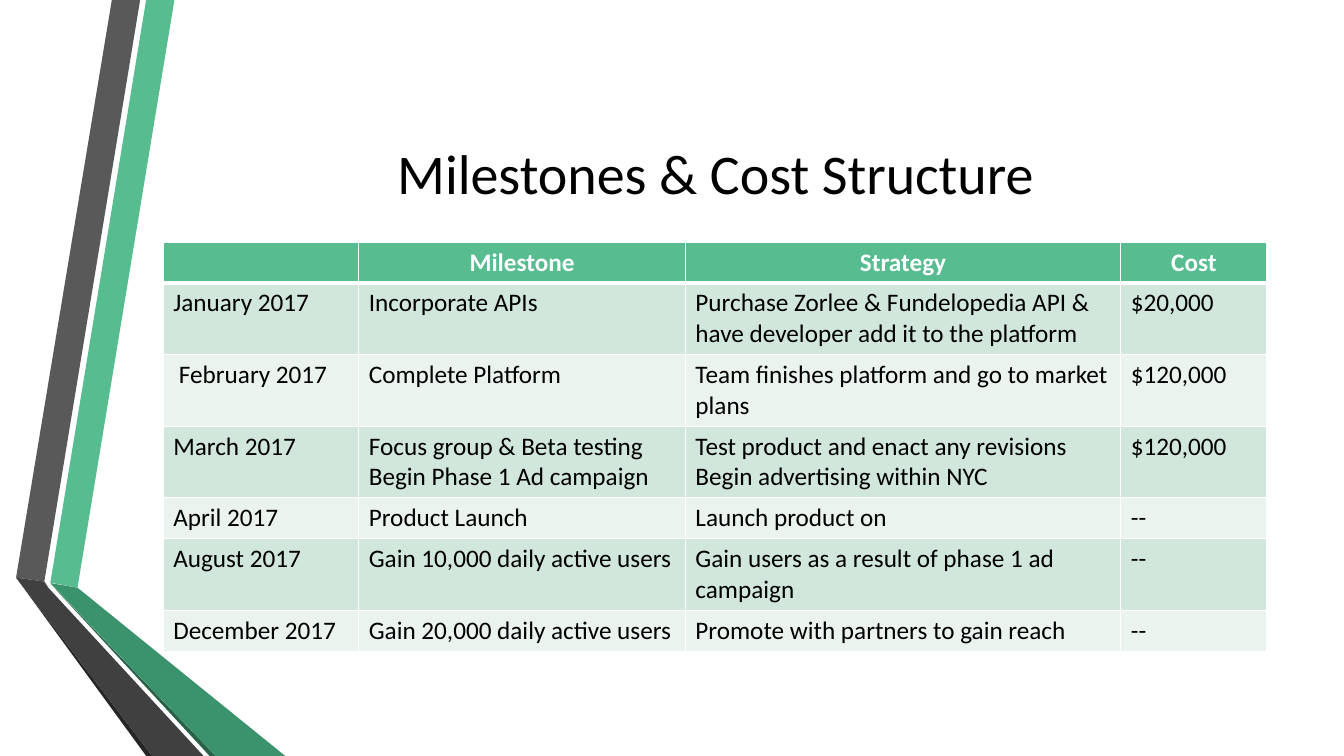
from lxml import etree
from pptx import Presentation
from pptx import util as u
from pptx.dml import color
from pptx.enum import text
from pptx.oxml import ns

FONT = "Calibri"
BLACK, WHITE, GREEN = "000000", "FFFFFF", "57BC90"
BANDS = ["D1E7DB", "EAF3EE"]

RIBBONS = [
    (GREEN, [(24.5, 416.2), (43.9, 419.8), (113.1, 0), (92.9, 0)]),
    ("595959", [(88.6, 0), (68.4, 0), (0, 412.6), (20.2, 415.4)]),
    ("262626", [(0, 412.6), (92.9, 540), (97.2, 540)]),
    ("276249", [(24.5, 416.9), (138.3, 540), (142.6, 540)]),
    ("3B936D", [(24.5, 416.5), (142.6, 540), (192.3, 540), (43.9, 419.8)]),
    ("404040", [(133.9, 540), (23, 419.8), (20.2, 415.4), (0, 412.6), (97.2, 540)]),
]

COLUMN_WIDTHS = [139.7, 233.3, 311, 104.4]
LINE_HEIGHT, ROW_PADDING = 22, 7.2
MILESTONES = [
    (1, ["", "Milestone", "Strategy", "Cost"]),
    (2, ["January 2017", "Incorporate APIs",
         "Purchase Zorlee & Fundelopedia API & have developer add it to the platform",
         "$20,000"]),
    (2, [" February 2017", "Complete Platform",
         "Team finishes platform and go to market plans", "$120,000"]),
    (2, ["March 2017", "Focus group & Beta testing\nBegin Phase 1 Ad campaign",
         "Test product and enact any revisions\nBegin advertising within NYC",
         "$120,000"]),
    (1, ["April 2017", "Product Launch", "Launch product on", "--"]),
    (2, ["August 2017", "Gain 10,000 daily active users",
         "Gain users as a result of phase 1 ad campaign", "--"]),
    (1, ["December 2017", "Gain 20,000 daily active users",
         "Promote with partners to gain reach", "--"]),
]


def paint(fill, hex_color):
    fill.solid()
    fill.fore_color.rgb = color.RGBColor.from_string(hex_color)


def style(paragraph, size, hex_color, bold=False, centred=False):
    paragraph.font.name = FONT
    paragraph.font.size = u.Pt(size)
    paragraph.font.bold = bold
    paragraph.font.color.rgb = color.RGBColor.from_string(hex_color)
    paragraph.alignment = text.PP_ALIGN.CENTER if centred else text.PP_ALIGN.LEFT


def draw_ribbons(slide, left, top):
    for hex_color, outline in RIBBONS:
        corners = [(u.Pt(left + x), u.Pt(top + y)) for x, y in outline]
        builder = slide.shapes.build_freeform(*corners[0])
        builder.add_line_segments(corners[1:], close=True)
        ribbon = builder.convert_to_shape()
        ribbon.shadow.inherit = False
        paint(ribbon.fill, hex_color)
        ribbon.line.fill.background()


def draw_title(slide, left, top, width, height):
    title = slide.shapes.add_textbox(u.Pt(left), u.Pt(top), u.Pt(width), u.Pt(height))
    frame = title.text_frame
    frame.word_wrap = True
    frame.vertical_anchor = text.MSO_ANCHOR.MIDDLE
    frame.text = "Milestones & Cost Structure"
    style(frame.paragraphs[0], 40, BLACK, centred=True)


def add_borders(cell, top, bottom):
    properties = cell._tc.get_or_add_tcPr()
    for side, width in (("L", 1), ("R", 1), ("T", top), ("B", bottom)):
        border = etree.SubElement(properties, ns.qn(f"a:ln{side}"), w=str(u.Pt(width)))
        solid = etree.SubElement(border, ns.qn("a:solidFill"))
        etree.SubElement(solid, ns.qn("a:srgbClr"), val=WHITE)


def draw_milestones(slide, left, top):
    heights = [lines * LINE_HEIGHT + ROW_PADDING for lines, _ in MILESTONES]
    milestones = slide.shapes.add_table(
        len(heights), len(COLUMN_WIDTHS), u.Pt(left), u.Pt(top),
        u.Pt(sum(COLUMN_WIDTHS)), u.Pt(sum(heights))).table
    for column, width in zip(milestones.columns, COLUMN_WIDTHS):
        column.width = u.Pt(width)
    for index, (row, height) in enumerate(zip(milestones.rows, heights)):
        row.height = u.Pt(height)
        header = index == 0
        for cell, wording in zip(row.cells, MILESTONES[index][1]):
            add_borders(cell, 3 if index == 1 else 1, 3 if header else 1)
            paint(cell.fill, GREEN if header else BANDS[(index - 1) % 2])
            cell.vertical_anchor = text.MSO_ANCHOR.MIDDLE if header else text.MSO_ANCHOR.TOP
            cell.text = wording
            for paragraph in cell.text_frame.paragraphs:
                style(paragraph, 18, WHITE if header else BLACK, header, header)


def main():
    deck = Presentation()
    deck.slide_width, deck.slide_height = u.Pt(960), u.Pt(540)
    slide = deck.slides.add_slide(deck.slide_layouts[6])
    draw_ribbons(slide, 11.5, 0)
    draw_title(slide, 116.6, 54, 789, 138.2)
    draw_milestones(slide, 116.6, 172.8)
    deck.save("out.pptx")


if __name__ == "__main__":
    main()
